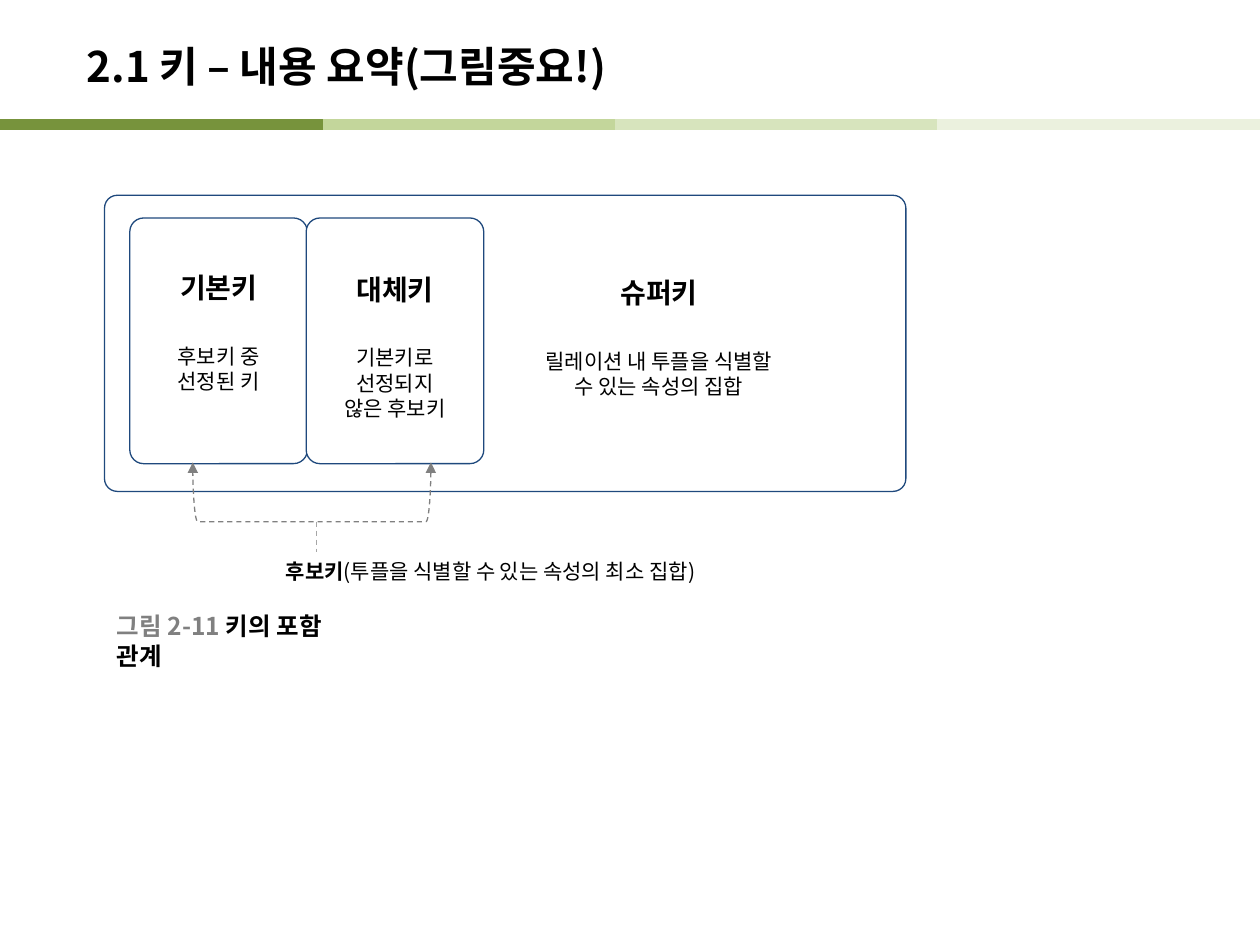
from dataclasses import dataclass

from lxml import etree
from pptx import Presentation
from pptx import util as u
from pptx.dml.color import RGBColor
from pptx.enum import dml, shapes, text
from pptx.oxml import ns

BLACK = RGBColor(0x00, 0x00, 0x00)
WHITE = RGBColor(0xFF, 0xFF, 0xFF)
NAVY = RGBColor(0x1F, 0x49, 0x7D)
GRAY = RGBColor(0x80, 0x80, 0x80)
LIGHT_GRAY = RGBColor(0xA6, 0xA6, 0xA6)
GREENS = [RGBColor(0x77, 0x93, 0x3C), RGBColor(0xC3, 0xD6, 0x9B),
          RGBColor(0xD7, 0xE4, 0xBD), RGBColor(0xEB, 0xF1, 0xDE)]
KOREAN = "Noto Sans CJK KR"


@dataclass
class Key:
    name: str
    meaning: list[str]
    left: float
    top: float
    width: float
    height: float
    rounding: float
    inset_left: float
    inset_top: float


@dataclass
class Span:
    words: str
    size: float
    bold: bool = True
    color: RGBColor = BLACK


@dataclass
class Label:
    spans: list[Span]
    left: float
    top: float
    width: float
    height: float
    anchor: text.MSO_ANCHOR = text.MSO_ANCHOR.MIDDLE
    wrap: bool = True


KEYS = [
    Key("슈퍼키", ["릴레이션 내 투플을 식별할", "수 있는 속성의 집합"],
        0.83, 1.55, 6.36, 2.35, 0.043, 2.54, 0.61),
    Key("기본키", ["후보키 중", "선정된 키"],
        1.03, 1.73, 1.41, 1.95, 0.078, 0.1, 0.39),
    Key("대체키", ["기본키로", "선정되지", "않은 후보키"],
        2.43, 1.73, 1.41, 1.95, 0.078, 0.1, 0.4),
]
LABELS = [
    Label([Span("2.1 키 – 내용 요약(그림중요!)", 24)], 0.59, 0.22, 8.27, 0.6),
    Label([Span("후보키", 12), Span("(투플을 식별할 수 있는 속성의 최소 집합)", 12, False)],
          2.17, 4.38, 4.09, 0.3, text.MSO_ANCHOR.TOP),
    Label([Span("그림 2-11 ", 14, color=GRAY), Span("키의 포함 관계", 14)],
          0.83, 4.93, 2.05, 0.31, wrap=False),
]


def style_run(run, size: float, bold: bool, color: RGBColor, latin: str) -> None:
    run.font.size = u.Pt(size)
    run.font.bold = bold
    run.font.color.rgb = color
    run.font.name = latin
    east_asian = etree.SubElement(run.font._element, ns.qn("a:ea"))
    east_asian.set("typeface", KOREAN)


def style_line(line, color: RGBColor, width: float, dashed: bool = False) -> None:
    line.color.rgb = color
    line.width = u.Pt(width)
    if dashed:
        line.dash_style = dml.MSO_LINE.DASH


def draw_line(slide, start: tuple[float, float], end: tuple[float, float],
              color: RGBColor, width: float, dashed: bool = False) -> None:
    connector = slide.shapes.add_connector(
        shapes.MSO_CONNECTOR.STRAIGHT, *map(u.Inches, start + end))
    style_line(connector.line, color, width, dashed)
    etree.SubElement(connector._element.spPr, ns.qn("a:effectLst"))


def draw_key(slide, key: Key) -> None:
    box = slide.shapes.add_shape(
        shapes.MSO_SHAPE.ROUNDED_RECTANGLE,
        *map(u.Inches, (key.left, key.top, key.width, key.height)))
    box.adjustments[0] = key.rounding
    box.shadow.inherit = False
    box.fill.solid()
    box.fill.fore_color.rgb = WHITE
    style_line(box.line, NAVY, 0.75)
    frame = box.text_frame
    frame.word_wrap = True
    frame.vertical_anchor = text.MSO_ANCHOR.TOP
    frame.margin_left = u.Inches(key.inset_left)
    frame.margin_top = u.Inches(key.inset_top)
    frame.text = "\n".join([key.name, *key.meaning])
    for row, paragraph in enumerate(frame.paragraphs):
        heading = row == 0
        paragraph.alignment = text.PP_ALIGN.CENTER
        paragraph.line_spacing = u.Pt(19 if heading else 14.4)
        if row == 1:
            paragraph.space_before = u.Pt(22.5)
        style_run(paragraph.runs[0], 16 if heading else 12, heading, BLACK, "Arial")


def draw_label(slide, label: Label) -> None:
    frame = slide.shapes.add_textbox(*map(
        u.Inches, (label.left, label.top, label.width, label.height))).text_frame
    frame.word_wrap = label.wrap
    frame.vertical_anchor = label.anchor
    for span in label.spans:
        run = frame.paragraphs[0].add_run()
        run.text = span.words
        style_run(run, span.size, span.bold, span.color, KOREAN)


def draw_candidate_bracket(slide) -> None:
    bracket = slide.shapes.add_shape(
        shapes.MSO_SHAPE.LEFT_BRACKET, *map(u.Inches, (2.24, 2.96, 0.47, 1.89)))
    bracket.rotation = 270
    bracket.shadow.inherit = False
    bracket.fill.background()
    style_line(bracket.line, GRAY, 0.75, dashed=True)
    outline = bracket._element.spPr.find(ns.qn("a:ln"))
    for end in ("a:headEnd", "a:tailEnd"):
        etree.SubElement(outline, ns.qn(end)).set("type", "triangle")
    draw_line(slide, (2.51, 4.14), (2.51, 4.38), LIGHT_GRAY, 0.75, dashed=True)


def main() -> None:
    deck = Presentation()
    deck.slide_width, deck.slide_height = u.Inches(10), u.Inches(7.5)
    slide = deck.slides.add_slide(deck.slide_layouts[6])
    stops = [0, 2.56, 4.88, 7.44, 10]
    for start, end, green in zip(stops, stops[1:], GREENS):
        draw_line(slide, (start, 0.99), (end, 0.99), green, 6)
    for key in KEYS:
        draw_key(slide, key)
    draw_candidate_bracket(slide)
    for label in LABELS:
        draw_label(slide, label)
    deck.save("out.pptx")


if __name__ == "__main__":
    main()
